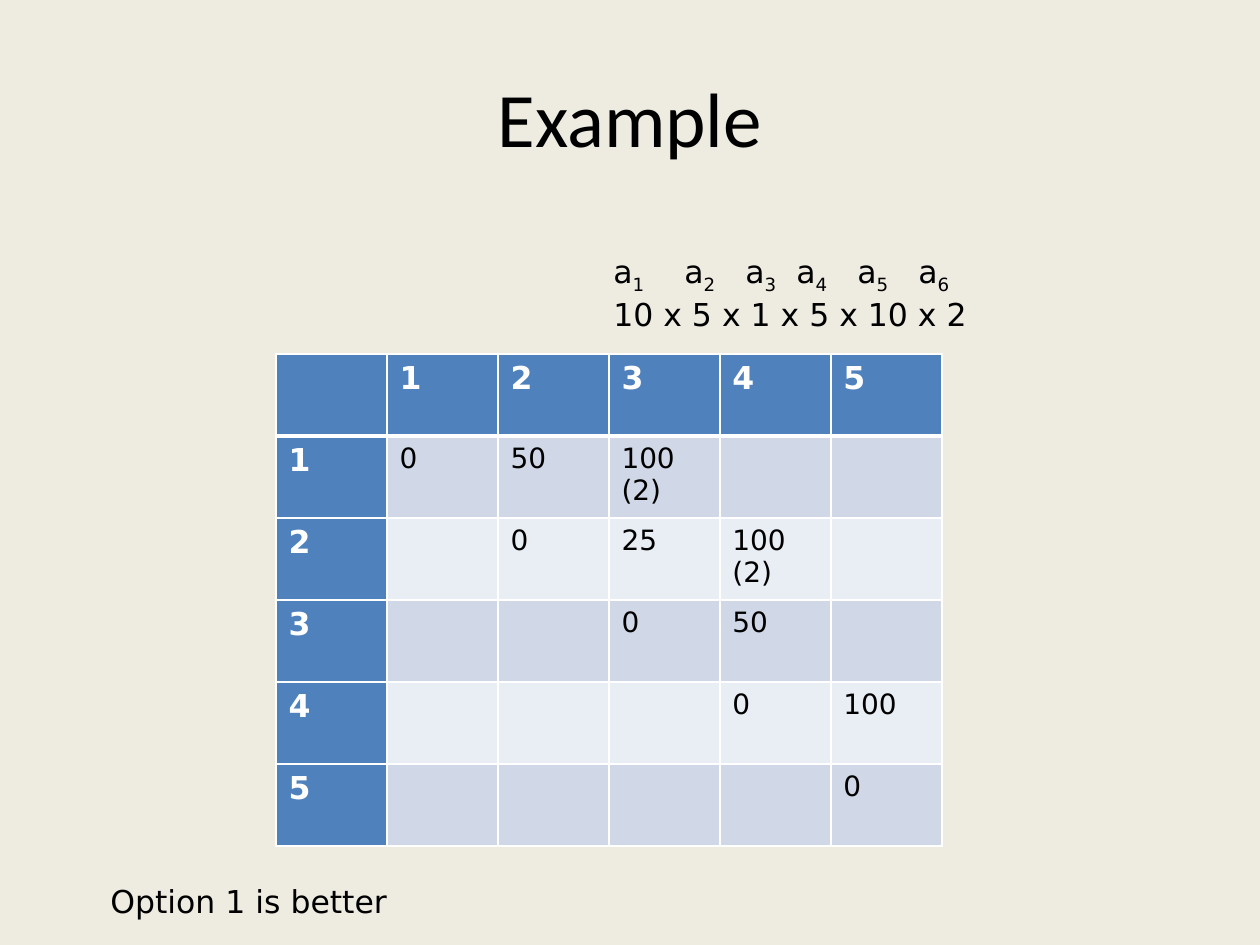
from lxml import etree
from pptx import Presentation
from pptx import util as u
from pptx.dml.color import RGBColor
from pptx.enum import text
from pptx.oxml import ns

SCALE = 914400 / 126
FONT = "DejaVu Sans"
HUES = {
    "back": "EEECE1", "ink": "000000", "white": "FFFFFF",
    "head": "4F81BD", "odd": "D0D8E8", "even": "E9EDF4",
}
COSTS = [
    ["", "1", "2", "3", "4", "5"],
    ["1", "0", "50", "100\v(2)", "", ""],
    ["2", "", "0", "25", "100\n(2)", ""],
    ["3", "", "", "0", "50", ""],
    ["4", "", "", "", "0", "100"],
    ["5", "", "", "", "", "0"],
]
STOPS = [71, 132, 183, 244, 305]


def px(n):
    return u.Emu(round(n * SCALE))


def hue(name):
    return RGBColor.from_string(HUES[name])


def style(para, size, color="ink", bold=False, face=FONT):
    for run in para.runs:
        font = run.font
        font.name, font.size, font.bold = face, u.Pt(size), bold
        font.color.rgb = hue(color)


def add_title(slide, words):
    title = slide.shapes.title
    title.left, title.top, title.width, title.height = map(px, (63, 38, 1134, 158))
    frame = title.text_frame
    frame.text = words
    frame.vertical_anchor = text.MSO_ANCHOR.MIDDLE
    para = frame.paragraphs[0]
    para.alignment = text.PP_ALIGN.CENTER
    style(para, 44, face="Calibri")


def add_text(slide, box, words):
    frame = slide.shapes.add_textbox(*map(px, box)).text_frame
    frame.word_wrap = True
    frame.auto_size = text.MSO_AUTO_SIZE.SHAPE_TO_FIT_TEXT
    frame.text = words
    for para in frame.paragraphs:
        style(para, 18)
    return frame


def add_stops(para, stops):
    tabs = etree.SubElement(para._p.get_or_add_pPr(), ns.qn("a:tabLst"))
    for stop in stops:
        etree.SubElement(tabs, ns.qn("a:tab"), pos=str(px(stop)), algn="l")


def add_terms(para, count):
    """Write a1, a2, ... with lowered digits, one per tab stop."""
    for n in range(1, count + 1):
        para.add_run().text = "a" if n == 1 else "\ta"
        sub = para.add_run()
        sub.text = str(n)
        sub.font._element.set("baseline", "-25000")
    style(para, 18)


def add_edges(cell, widths):
    props = cell._tc.get_or_add_tcPr()
    for side, width in widths.items():
        line = etree.SubElement(props, ns.qn(f"a:ln{side}"), w=str(u.Pt(width)))
        fill = etree.SubElement(line, ns.qn("a:solidFill"))
        etree.SubElement(fill, ns.qn("a:srgbClr"), val=HUES["white"])


def add_grid(slide, left, top, wide, high, rows):
    count = len(rows[0])
    box = (left, top, wide * count, high * len(rows))
    grid = slide.shapes.add_table(len(rows), count, *map(px, box)).table
    for r, row in enumerate(rows):
        for c, words in enumerate(row):
            cell = grid.cell(r, c)
            head = r == 0 or c == 0
            add_edges(cell, {"L": 1, "R": 1, "T": 3 if r == 1 else 1,
                             "B": 3 if r == 0 else 1})
            cell.fill.solid()
            cell.fill.fore_color.rgb = hue("head" if head else "odd" if r % 2 else "even")
            if words:
                cell.text_frame.text = words
            for para in cell.text_frame.paragraphs:
                style(para, 18 if head else 16, "white" if head else "ink", head)


def main():
    deck = Presentation()
    deck.slide_width, deck.slide_height = px(1260), px(945)
    slide = deck.slides.add_slide(deck.slide_layouts[5])
    slide.background.fill.solid()
    slide.background.fill.fore_color.rgb = hue("back")
    add_title(slide, "Example")
    add_grid(slide, 276, 354, 111, 82, COSTS)
    sizes = add_text(slide, (601, 246, 630, 89), "\n10 x 5 x 1 x 5 x 10 x 2")
    terms = sizes.paragraphs[0]
    add_stops(terms, STOPS)
    add_terms(terms, len(STOPS) + 1)
    add_text(slide, (98, 876, 906, 50), "Option 1 is better")
    deck.save("out.pptx")


if __name__ == "__main__":
    main()
